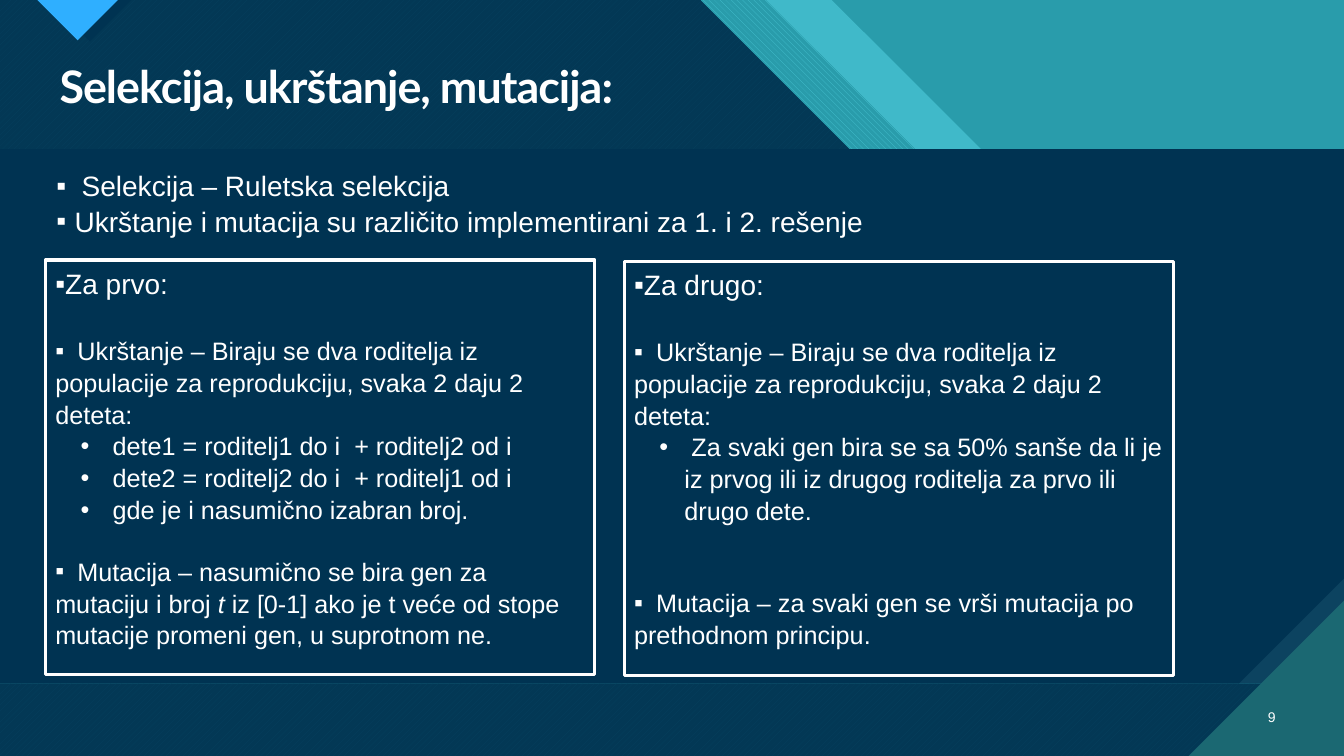
from lxml import etree
from pptx import Presentation
from pptx.dml.color import RGBColor
from pptx.enum.dml import MSO_PATTERN
from pptx.enum.shapes import MSO_SHAPE
from pptx.enum.text import MSO_ANCHOR, PP_ALIGN
from pptx.oxml.ns import qn
from pptx.util import Inches, Pt

RECTANGLE = MSO_SHAPE.RECTANGLE
DOWN_STRIPES = MSO_PATTERN.WIDE_DOWNWARD_DIAGONAL
UP_STRIPES = MSO_PATTERN.WIDE_UPWARD_DIAGONAL
TOP, MIDDLE = MSO_ANCHOR.TOP, MSO_ANCHOR.MIDDLE
LEFT, RIGHT = PP_ALIGN.LEFT, PP_ALIGN.RIGHT

WIDTH, HEIGHT = 13.33, 7.5
HEADER_BOTTOM, FOOTER_TOP = 1.48, 6.78
WHITE, NAVY, TEAL, AQUA = "FFFFFF", "003352", "299CAB", "40B9C9"
STRIPE_LIGHT, STEEL, PINE, BLUE = "47C3D3", "0C4360", "1B6872", "2FAFFF"
NAVY_STRIPES = ("07415F", "033855")
TAB_STOP = 0.22
CROSSOVER = ("\tUkrštanje – Biraju se dva roditelja iz populacije "
             "za reprodukciju, svaka 2 daju 2 deteta:")

# Each item: text pieces (every second one italic), level, space before in points
FIRST_SOLUTION = [
    (["Za prvo:"], 0, 0),
    ([CROSSOVER], 0, 24),
    ([" dete1 = roditelj1 do i  + roditelj2 od i"], 1, 0),
    ([" dete2 = roditelj2 do i  + roditelj1 od i"], 1, 0),
    ([" gde je i nasumično izabran broj."], 1, 0),
    (["\tMutacija – nasumično se bira gen za mutaciju i broj ", "t ",
      "iz [0-1] ako je t veće od stope mutacije promeni gen, u suprotnom ne."], 0, 21.6),
]
SECOND_SOLUTION = [
    (["Za drugo:"], 0, 0),
    ([CROSSOVER], 0, 24),
    ([" Za svaki gen bira se sa 50% sanše da li je iz prvog ili "
      "iz drugog roditelja za prvo ili drugo dete."], 1, 0),
    (["\tMutacija – za svaki gen se vrši mutacija po prethodnom principu."], 0, 43.2),
]


def color(value):
    return RGBColor.from_string(value)


def paint(shape, fill, pattern=None):
    """Fill with one colour, or with a pattern of a (front, back) pair."""
    shape.shadow.inherit = False
    shape.line.fill.background()
    if pattern is None:
        shape.fill.solid()
        shape.fill.fore_color.rgb = color(fill)
    else:
        shape.fill.patterned()
        shape.fill.pattern = pattern
        shape.fill.fore_color.rgb, shape.fill.back_color.rgb = map(color, fill)


def add_polygon(page, points, fill, pattern=None):
    corners = [(Inches(x), Inches(y)) for x, y in points]
    builder = page.shapes.build_freeform(*corners[0])
    builder.add_line_segments(corners[1:], close=True)
    paint(builder.convert_to_shape(), fill, pattern)


def place(shape, box):
    shape.left, shape.top, shape.width, shape.height = map(Inches, box)


def add_span(para, text, size, font="Arial", bold=False, italic=False, spacing=None):
    span = para.add_run()
    span.text = text
    span.font.size, span.font.name = Pt(size), font
    span.font.bold, span.font.italic = bold, italic
    span.font.color.rgb = color(WHITE)
    if spacing is not None:
        span.font._element.set("spc", str(spacing))


def format_para(para, align=LEFT, line=1.0, before=0):
    para.alignment, para.line_spacing = align, line
    para.space_before, para.space_after = Pt(before), Pt(0)


def set_bullet(para, mark, margin=0, indent=0, tab=None):
    properties = para._p.get_or_add_pPr()
    properties.set("marL", str(Inches(margin)))
    properties.set("indent", str(Inches(indent)))
    etree.SubElement(properties, qn("a:buFont"), typeface="Arial")
    etree.SubElement(properties, qn("a:buChar"), char=mark)
    if tab is not None:
        stops = etree.SubElement(properties, qn("a:tabLst"))
        etree.SubElement(stops, qn("a:tab"), pos=str(Inches(tab)), algn="l")


def paragraphs(frame, count):
    return [frame.paragraphs[0]] + [frame.add_paragraph() for _ in range(count - 1)]


def draw_header(page):
    def band(left, right, fill, pattern=None, left_slant=HEADER_BOTTOM):
        add_polygon(page, [(left, 0), (right, 0), (right + HEADER_BOTTOM, HEADER_BOTTOM),
                           (left + left_slant, HEADER_BOTTOM)], fill, pattern)

    band(0, 6.95, NAVY_STRIPES, UP_STRIPES, left_slant=0)
    band(6.95, 7.6, (STRIPE_LIGHT, TEAL), DOWN_STRIPES)
    band(7.6, 8.25, AQUA)
    for left, depth, fill in [(0.48, 0.41, NAVY), (0.37, 0.4, BLUE)]:
        add_polygon(page, [(left, 0), (left + 2 * depth, 0), (left + depth, depth)], fill)


def draw_panel_and_footer(page):
    for box, fill, pattern in [
            ((0, FOOTER_TOP, WIDTH, HEIGHT - FOOTER_TOP), NAVY_STRIPES, UP_STRIPES),
            ((0, HEADER_BOTTOM, WIDTH, FOOTER_TOP - HEADER_BOTTOM), STEEL, None)]:
        paint(page.shapes.add_shape(RECTANGLE, *map(Inches, box)), fill, pattern)
    snip = 1.04
    add_polygon(page, [(0, HEADER_BOTTOM), (WIDTH, HEADER_BOTTOM), (WIDTH, FOOTER_TOP - snip),
                       (WIDTH - snip, FOOTER_TOP), (0, FOOTER_TOP)], NAVY)
    corner = 1.54
    add_polygon(page, [(WIDTH - corner, HEIGHT), (WIDTH, HEIGHT),
                       (WIDTH, HEIGHT - corner)], PINE)


def fill_title(page, box):
    title = page.shapes.title
    place(title, box)
    title.text_frame.vertical_anchor = MIDDLE
    para = title.text_frame.paragraphs[0]
    format_para(para, line=0.9)
    add_span(para, "Selekcija, ukrštanje, mutacija:", 32, "Lato", bold=True, spacing=-70)


def fill_summary(page, box):
    body = page.placeholders[1]
    place(body, box)
    body.text_frame.vertical_anchor = TOP
    items = [("Selekcija – Ruletska selekcija", 0.25),
             ("Ukrštanje i mutacija su različito implementirani za 1. i 2. rešenje", 0.18)]
    for para, (text, hang) in zip(paragraphs(body.text_frame, len(items)), items):
        format_para(para, line=1.05)
        set_bullet(para, "▪", hang, -hang)
        add_span(para, text, 20)


def add_solution(page, box, items):
    frame_box = page.shapes.add_shape(RECTANGLE, *map(Inches, box))
    frame_box.shadow.inherit = False
    frame_box.fill.background()
    frame_box.line.color.rgb, frame_box.line.width = color(WHITE), Pt(2.25)
    frame = frame_box.text_frame
    frame.word_wrap, frame.vertical_anchor = True, TOP
    for number, (para, item) in enumerate(zip(paragraphs(frame, len(items)), items)):
        pieces, level, before = item
        format_para(para, line=1.05, before=before)
        if level:
            para.level = level
            set_bullet(para, "•", 0.5, -0.25)
        else:
            set_bullet(para, "▪", tab=TAB_STOP)
        for position, text in enumerate(pieces):
            add_span(para, text, 18 if number else 20, italic=position % 2 == 1)


def add_page_number(page, box):
    frame = page.shapes.add_textbox(*map(Inches, box)).text_frame
    frame.word_wrap, frame.vertical_anchor = True, MIDDLE
    format_para(frame.paragraphs[0], align=RIGHT)
    add_span(frame.paragraphs[0], "9", 10)


def main():
    deck = Presentation()
    deck.slide_width, deck.slide_height = Inches(WIDTH), Inches(HEIGHT)
    page = deck.slides.add_slide(deck.slide_layouts[1])
    page.background.fill.solid()
    page.background.fill.fore_color.rgb = color(TEAL)
    draw_header(page)
    draw_panel_and_footer(page)
    # Placeholders come first in the tree, so lift them above the backdrop
    for holder in list(page.placeholders):
        page.shapes._spTree.append(holder._element)
    fill_title(page, (0.49, 0.59, 12.26, 0.59))
    fill_summary(page, (0.46, 1.61, 12.08, 1.11))
    add_solution(page, (0.45, 2.58, 5.45, 4.11), FIRST_SOLUTION)
    add_solution(page, (6.19, 2.59, 5.45, 4.11), SECOND_SOLUTION)
    add_page_number(page, (12.31, 6.91, 0.44, 0.4))
    deck.save("out.pptx")


if __name__ == "__main__":
    main()
